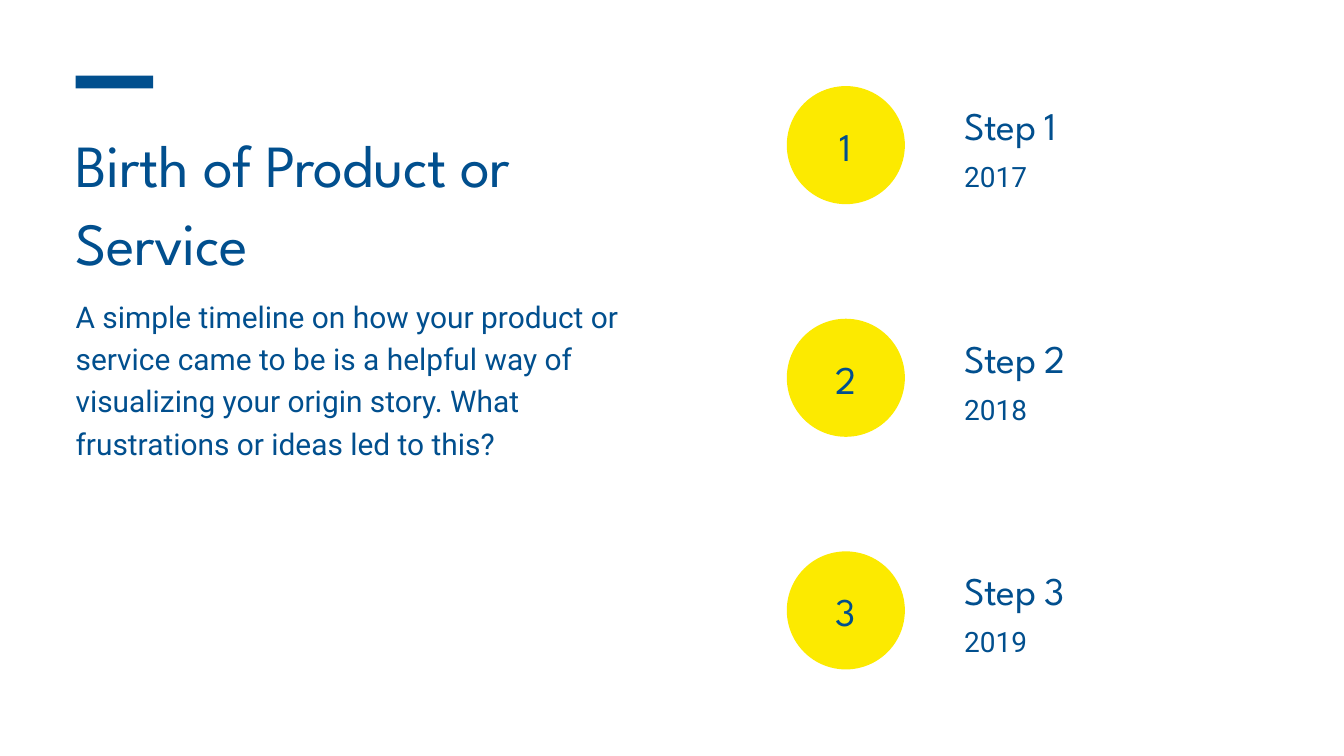
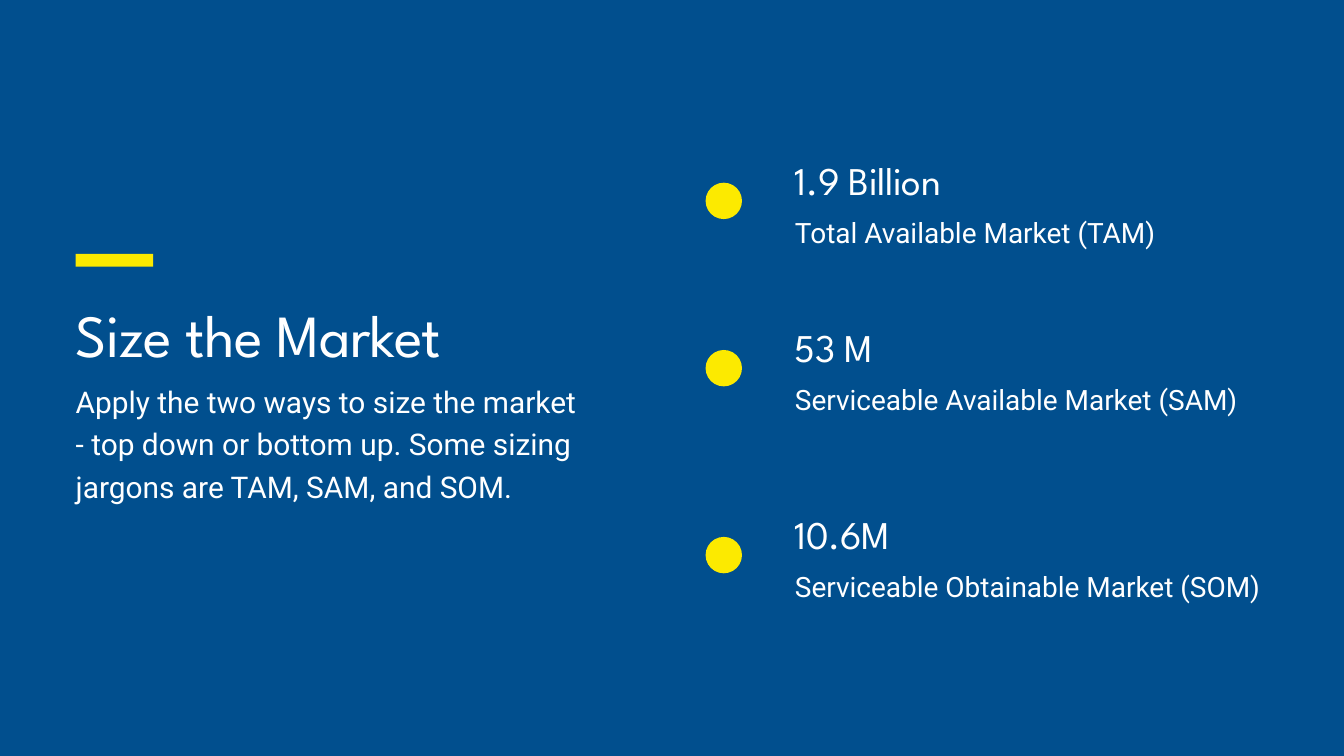
from pptx import Presentation
from pptx.dml.color import RGBColor
from pptx.enum.shapes import MSO_SHAPE
from pptx.enum.text import MSO_ANCHOR, MSO_AUTO_SIZE, PP_ALIGN
from pptx.util import Pt
from lxml import etree

BLUE = RGBColor(0x01, 0x4F, 0x8E)
YELLOW = RGBColor(0xFC, 0xEA, 0x00)
WHITE = RGBColor(0xFF, 0xFF, 0xFF)

OVAL, RECT = MSO_SHAPE.OVAL, MSO_SHAPE.RECTANGLE
TOP, NO_FIT = MSO_ANCHOR.TOP, MSO_AUTO_SIZE.NONE
LEFT, CENTER = PP_ALIGN.LEFT, PP_ALIGN.CENTER

HEAD_FONT, TEXT_FONT = "League Spartan", "Roboto"
TITLE = (HEAD_FONT, 64, 83.2, -60)
BODY = (TEXT_FONT, 32, 45.4, 0)
LABEL = (HEAD_FONT, 42, 54.6, -40)
DETAIL = (TEXT_FONT, 30, 42.6, 0)

MARGIN = 81
STEP_PITCH = 249.25
STEPS = [("Step 1", "2017"), ("Step 2", "2018"), ("Step 3", "2019")]
MARKETS = [
    (163.5, "1.9 Billion", "Total Available Market (TAM)"),
    (342.75, "53 M", "Serviceable Available Market (SAM)"),
    (543, "10.6M", "Serviceable Obtainable Market (SOM)"),
]


def place(sp, x, y, w, h):
    sp.left, sp.top, sp.width, sp.height = Pt(x), Pt(y), Pt(w), Pt(h)


def write(sp, text, style, color, align=LEFT):
    font, size, leading, tracking = style
    tf = sp.text_frame
    tf.margin_left = tf.margin_top = tf.margin_right = tf.margin_bottom = 0
    tf.word_wrap = True
    tf.auto_size = NO_FIT
    tf.vertical_anchor = TOP
    p = tf.paragraphs[0]
    p.text = text
    p.alignment = align
    p.line_spacing = Pt(leading)
    p.space_before = Pt(0)
    p.font.name = font
    p.font.size = Pt(size)
    p.font.color.rgb = color
    pPr = p._p.get_or_add_pPr()
    pPr.get_or_add_defRPr().set("spc", str(tracking))
    return pPr


def add_text(slide, x, y, w, h, text, style, color, align=LEFT):
    sp = slide.shapes.add_textbox(Pt(x), Pt(y), Pt(w), Pt(h))
    write(sp, text, style, color, align)


def add_filled(slide, kind, x, y, w, h, color):
    sp = slide.shapes.add_shape(kind, Pt(x), Pt(y), Pt(w), Pt(h))
    sp.shadow.inherit = False
    sp.fill.solid()
    sp.fill.fore_color.rgb = color
    sp.line.fill.background()


def add_entry(slide, x, y, w, gap, label, detail, color):
    add_text(slide, x, y, w, 53, label, LABEL, color)
    add_text(slide, x, y + gap, w, 40, detail, DETAIL, color)


def add_slide(prs, background):
    slide = prs.slides.add_slide(prs.slide_layouts[1])
    slide.background.fill.solid()
    slide.background.fill.fore_color.rgb = background
    return slide


def add_intro(slide, top, w, title, title_h, body, body_y, body_h, color, bar):
    add_filled(slide, RECT, MARGIN, top, 83, 13.75, bar)
    title_sp, body_sp = slide.shapes.title, slide.placeholders[1]
    place(title_sp, MARGIN, top + 49.5 if title_h > 100 else top + 41, w, title_h)
    write(title_sp, title, TITLE, color)
    place(body_sp, MARGIN, body_y, w, body_h)
    pPr = write(body_sp, body, BODY, color)
    pPr.set("marL", "0")
    pPr.set("indent", "0")
    bullet = etree.Element(pPr.tag.replace("pPr", "buNone"))
    pPr.get_or_add_defRPr().addprevious(bullet)


def timeline_slide(prs):
    slide = add_slide(prs, WHITE)
    add_intro(slide, 81, 604, "Birth of Product or Service", 163,
              "A simple timeline on how your product or service came to be is a "
              "helpful way of visualizing your origin story. What frustrations or "
              "ideas led to this?", 312.5, 178.5, BLUE, BLUE)
    for i, (step, year) in enumerate(STEPS):
        y = 92.25 + i * STEP_PITCH
        add_filled(slide, OVAL, 843, y, 126.5, 126.5, YELLOW)
        add_text(slide, 873.5, y + 34.5, 65.5, 54, str(i + 1), LABEL, BLUE, CENTER)
        add_entry(slide, 1033, y + 12, 300, 60, step, year, BLUE)


def market_slide(prs):
    slide = add_slide(prs, BLUE)
    add_intro(slide, 272, 551.5, "Size the Market", 80.5,
              "Apply the two ways to size the market - top down or bottom up. "
              "Some sizing jargons are TAM, SAM, and SOM.",
              404, 134, WHITE, YELLOW)
    for y, amount, market in MARKETS:
        add_filled(slide, OVAL, 756, y + 32.25, 39, 39, YELLOW)
        add_entry(slide, 851.75, y, 507.5, 61, amount, market, WHITE)


def main():
    prs = Presentation()
    prs.slide_width, prs.slide_height = Pt(1440), Pt(810)
    timeline_slide(prs)
    market_slide(prs)
    prs.save("out.pptx")


if __name__ == "__main__":
    main()
